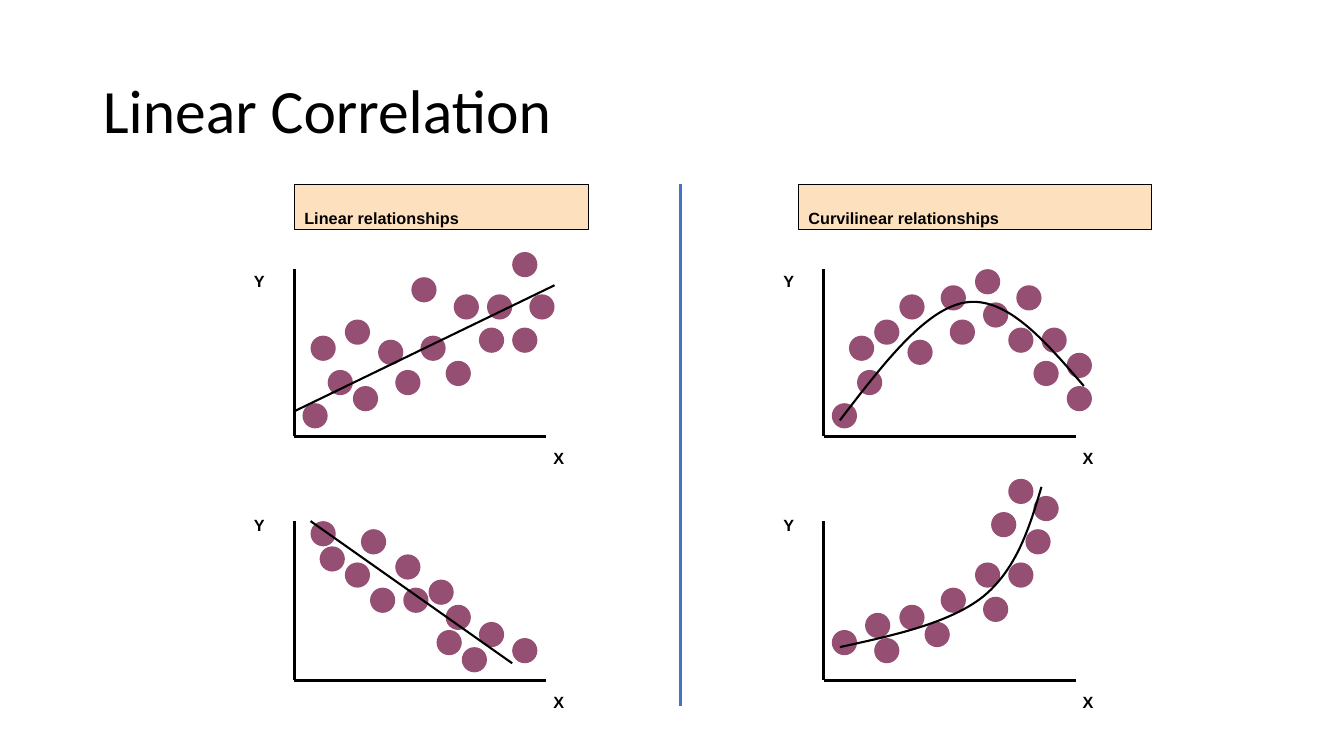
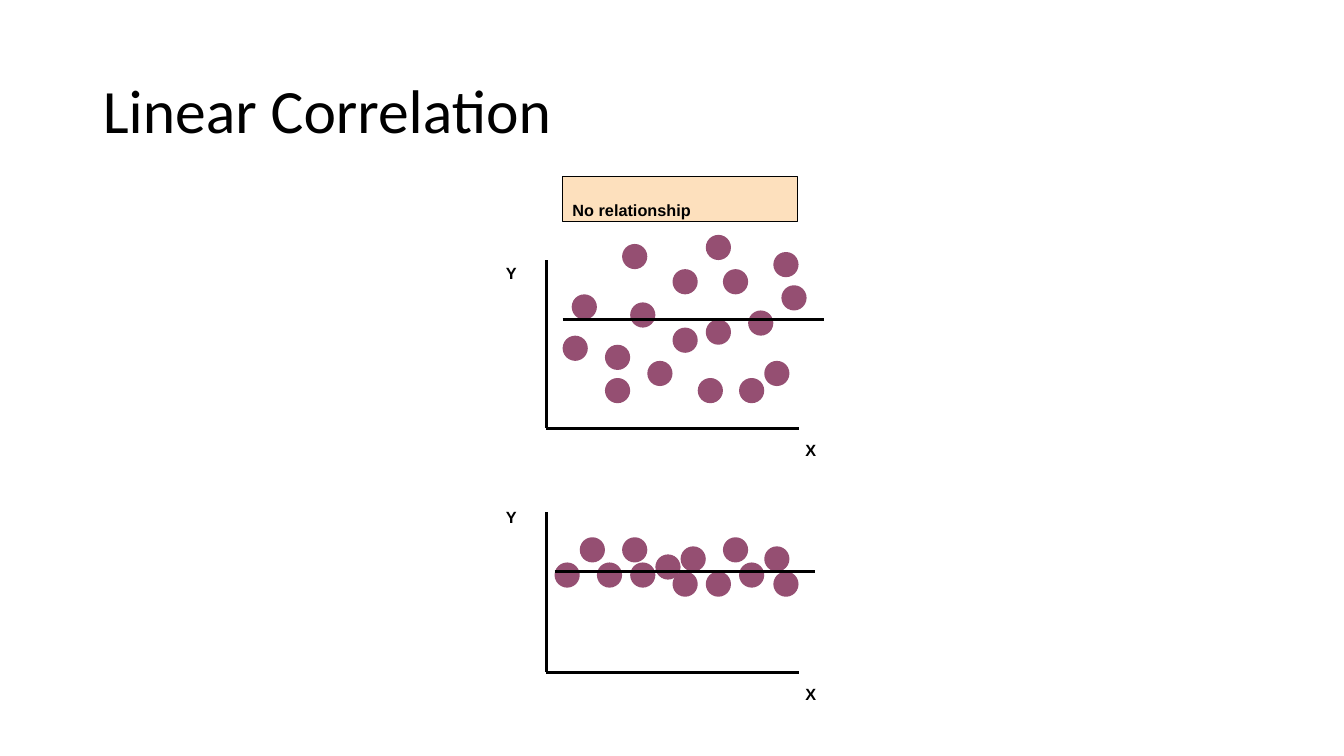
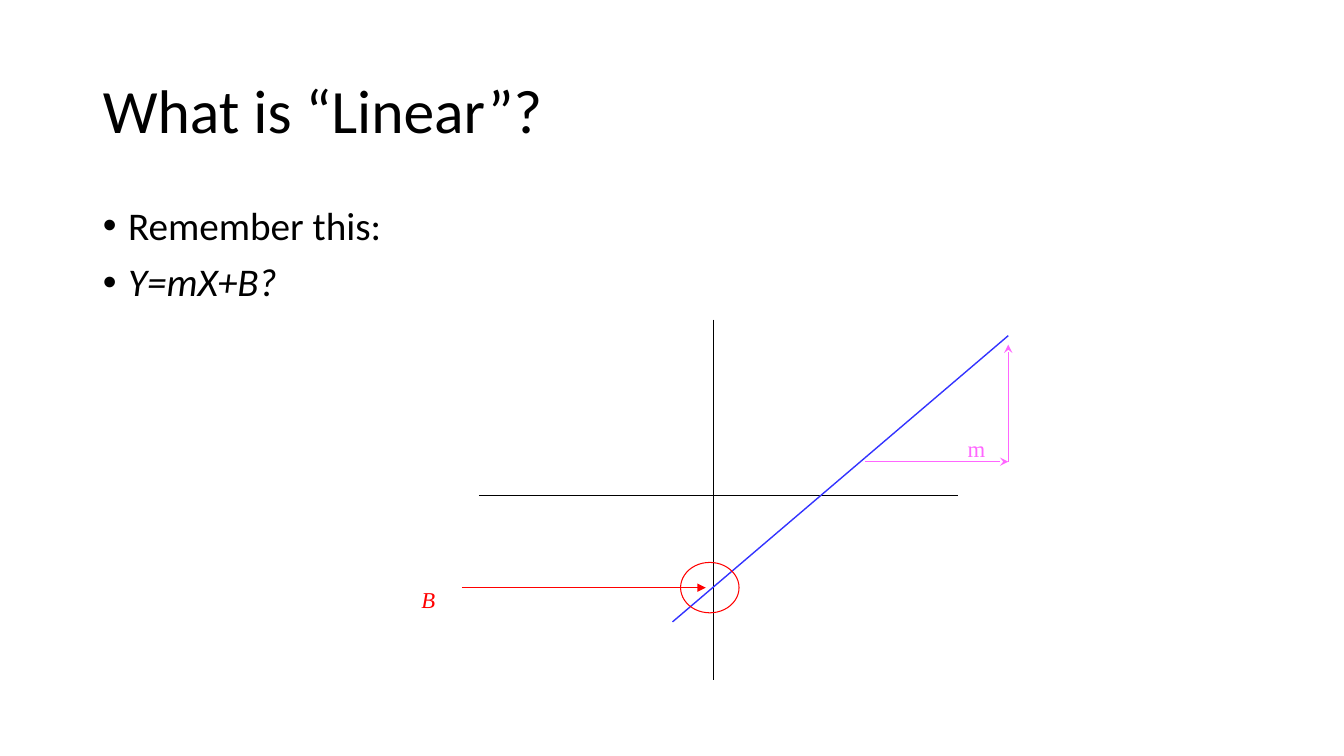
"""Build three slides on linear correlation: scatter sketches and the line equation."""
from lxml import etree
from pptx import Presentation
from pptx.dml.color import RGBColor
from pptx.enum.shapes import MSO_CONNECTOR, MSO_SHAPE
from pptx.enum.text import MSO_ANCHOR, PP_ALIGN
from pptx.oxml.ns import qn
from pptx.util import Inches, Pt

STRAIGHT = MSO_CONNECTOR.STRAIGHT
OVAL, RECTANGLE = MSO_SHAPE.OVAL, MSO_SHAPE.RECTANGLE
LEFT = PP_ALIGN.LEFT
TOP, MIDDLE = MSO_ANCHOR.TOP, MSO_ANCHOR.MIDDLE

BLACK, PLUM, PEACH, BLUE = "000000", "954F72", "FDE0BD", "4472C4"
INDIGO, RED, PINK = "3333FF", "FF0000", "FF66FF"
DOT = 0.25
AXIS_LENGTH = 2.5
CURVE_STEPS = 24


def tint(code):
    return RGBColor.from_string(code)


def write(box, text, size=20, font="Arial", color=BLACK, bold=False, italic=False,
          lowered=False, spacing=None, before=0, anchor=TOP, bullet=False, more=False):
    frame = box.text_frame
    frame.word_wrap = True
    frame.vertical_anchor = anchor
    para = frame.add_paragraph() if more else frame.paragraphs[0]
    para.alignment = LEFT
    para.space_before = Pt(before)
    if spacing:
        para.line_spacing = spacing
    if bullet:
        properties = para._p.get_or_add_pPr()
        properties.set("marL", str(Inches(0.25)))
        properties.set("indent", str(Inches(-0.25)))
        etree.SubElement(properties, qn("a:buChar")).set("char", "•")
    span = para.add_run()
    span.text = text
    span.font.name = font
    span.font.size = Pt(size)
    span.font.bold = bold
    span.font.italic = italic
    span.font.color.rgb = tint(color)
    if lowered:
        span._r.get_or_add_rPr().set("baseline", "-25000")


deck = Presentation()
deck.slide_width, deck.slide_height = Inches(13.33), Inches(7.5)

pages = []
for title, layout in [("Linear Correlation", 5), ("Linear Correlation", 5),
                      ("What is “Linear”?", 1)]:
    page = deck.slides.add_slide(deck.slide_layouts[layout])
    heading = page.shapes.title
    heading.left, heading.top = Inches(0.92), Inches(0.4)
    heading.width, heading.height = Inches(11.5), Inches(1.45)
    write(heading, title, size=44, font="Calibri", spacing=0.9, anchor=MIDDLE)
    pages.append(page)
relations, unrelated, equation = pages

body = equation.placeholders[1]
body.left, body.top = Inches(0.92), Inches(2)
body.width, body.height = Inches(11.5), Inches(4.76)
write(body, "Remember this:", size=28, font="Calibri", spacing=0.9, bullet=True)
write(body, "Y=mX+B?", size=28, font="Calibri", spacing=0.9, bullet=True,
      italic=True, before=10, more=True)

plots = [
    (relations, 2.92, 2.67, 4.33, [
        (3, 4), (3.25, 3.67), (5.08, 2.5), (5.25, 2.92), (3.5, 3.83), (4.83, 2.92),
        (4.42, 3.58), (4.5, 2.92), (4.08, 2.75), (3.08, 3.33), (3.42, 3.17),
        (3.75, 3.37), (4.75, 3.25), (4.17, 3.33), (3.92, 3.67), (5.08, 3.25)]),
    (relations, 2.92, 5.17, 6.75, [
        (4.58, 6.42), (3.17, 5.42), (5.08, 6.33), (3.58, 5.25), (4.42, 6),
        (4.75, 6.17), (3.92, 5.5), (3.08, 5.17), (3.42, 5.58), (3.67, 5.83),
        (4.33, 6.25), (4.25, 5.75), (4, 5.83)]),
    (relations, 8.17, 2.67, 4.33, [
        (8.25, 4), (8.5, 3.67), (10.58, 3.5), (10.08, 2.83), (8.92, 2.92),
        (10.58, 3.83), (10.25, 3.58), (9.75, 3), (9.33, 2.83), (8.42, 3.33),
        (8.67, 3.17), (9, 3.37), (10, 3.25), (9.42, 3.17), (9.67, 2.67),
        (10.33, 3.25)]),
    (relations, 8.17, 5.17, 6.75, [
        (8.25, 6.25), (8.58, 6.08), (10.25, 4.92), (10.17, 5.25), (8.67, 6.33),
        (9.83, 5.08), (9.75, 5.92), (9.67, 5.58), (10, 4.75), (8.92, 6),
        (10, 5.58), (9.33, 5.83), (9.17, 6.17)]),
    (unrelated, 5.42, 2.58, 4.25, [
        (7, 2.33), (5.58, 3.33), (7.58, 3.58), (7.75, 2.83), (6, 3.75), (6.17, 2.42),
        (7, 3.17), (7.17, 2.67), (7.67, 2.5), (6.67, 2.67), (6, 3.42), (6.25, 3),
        (7.33, 3.75), (6.67, 3.25), (6.42, 3.58), (5.67, 2.92), (6.92, 3.75),
        (7.42, 3.08)]),
    (unrelated, 5.42, 5.08, 6.67, [
        (7.67, 5.67), (5.92, 5.58), (7.58, 5.42), (6.17, 5.33), (7.17, 5.33),
        (7.33, 5.58), (6.5, 5.5), (5.5, 5.58), (5.75, 5.33), (6.25, 5.58),
        (7, 5.67), (6.75, 5.42), (6.67, 5.67)]),
]
lines = [
    (relations, (6.75, 1.83), (6.75, 7), BLUE, 2.25, None),
    (relations, (2.92, 4.08), (5.5, 2.83), BLACK, 1.5, None),
    (relations, (3.08, 5.17), (5.08, 6.58), BLACK, 1.5, None),
    (unrelated, (5.58, 3.17), (8.17, 3.17), BLACK, 1.5, None),
    (unrelated, (5.5, 5.67), (8.08, 5.67), BLACK, 1.5, None),
    (equation, (7.08, 3.17), (7.08, 6.75), BLACK, 0.75, None),
    (equation, (4.75, 4.92), (9.5, 4.92), BLACK, 0.75, None),
    (equation, (6.67, 6.17), (10, 3.33), INDIGO, 1, None),
    (equation, (4.58, 5.83), (7, 5.83), RED, 0.75, "triangle"),
    (equation, (8.58, 4.58), (10, 4.58), PINK, 0.75, "stealth"),
    (equation, (10, 4.58), (10, 3.42), PINK, 0.75, "stealth"),
]
axis_format = {"bold": True}
labels = [
    (equation, 4.08, 5.5, 0.75, 0.57, "B",
     {"size": 28, "font": "Times New Roman", "color": RED, "italic": True}),
    (equation, 9.5, 4, 1, 0.57, "m",
     {"size": 28, "font": "Times New Roman", "color": PINK}),
]

for page, left, top, bottom, dots in plots:
    for dot_left, dot_top in dots:
        dot = page.shapes.add_shape(OVAL, Inches(dot_left), Inches(dot_top),
                                    Inches(DOT), Inches(DOT))
        dot.shadow.inherit = False
        dot.fill.solid()
        dot.fill.fore_color.rgb = tint(PLUM)
        dot.line.fill.background()
    lines.append((page, (left, top), (left, bottom), BLACK, 2, None))
    lines.append((page, (left, bottom), (left + AXIS_LENGTH, bottom), BLACK, 2, None))
    labels.append((page, left - 0.5, bottom - 1.87, 0.39, 0.43, "Y", axis_format))
    labels.append((page, left + 2.47, bottom - 0.12, 0.39, 0.43, "X", axis_format))

for page, start, end, color, width, arrow in lines:
    line = page.shapes.add_connector(STRAIGHT, *map(Inches, start + end))
    line.line.color.rgb = tint(color)
    line.line.width = Pt(width)
    if arrow:
        etree.SubElement(line.line._get_or_add_ln(), qn("a:tailEnd")).set("type", arrow)
    etree.SubElement(line._element.spPr, qn("a:effectLst"))

curves = [
    [(8.33, 4.17), (8.76, 3.61), (9.18, 3.06), (9.58, 3),
     (9.99, 2.94), (10.37, 3.39), (10.75, 3.83)],
    [(8.33, 6.42), (8.88, 6.3), (9.42, 6.18), (9.75, 5.92),
     (10.08, 5.65), (10.21, 5.24), (10.33, 4.83)],
]
for controls in curves:
    points = []
    for first in (0, 3):
        for step in range(1, CURVE_STEPS + 1):
            t = step / CURVE_STEPS
            weights = ((1 - t) ** 3, 3 * t * (1 - t) ** 2, 3 * t ** 2 * (1 - t), t ** 3)
            points.append([Inches(sum(weight * control[axis] for weight, control
                                      in zip(weights, controls[first:first + 4])))
                           for axis in (0, 1)])
    builder = relations.shapes.build_freeform(*map(Inches, controls[0]))
    builder.add_line_segments(points, close=False)
    curve = builder.convert_to_shape()
    curve.shadow.inherit = False
    curve.fill.background()
    curve.line.color.rgb = tint(BLACK)
    curve.line.width = Pt(1.5)

for page, left, top, width, height, text, style in labels:
    label = page.shapes.add_textbox(*map(Inches, (left, top, width, height)))
    write(label, text, lowered=True, **style)

for page, left, top, width, text in [
        (relations, 2.92, 1.83, 2.92, "Linear relationships"),
        (relations, 7.92, 1.83, 3.5, "Curvilinear relationships"),
        (unrelated, 5.58, 1.75, 2.33, "No relationship")]:
    banner = page.shapes.add_shape(RECTANGLE, *map(Inches, (left, top, width, 0.45)))
    banner.shadow.inherit = False
    banner.fill.solid()
    banner.fill.fore_color.rgb = tint(PEACH)
    banner.line.color.rgb = tint(BLACK)
    banner.line.width = Pt(1)
    write(banner, text, bold=True, lowered=True)

ring = equation.shapes.add_shape(OVAL, Inches(6.75), Inches(5.58), Inches(0.58), Inches(0.5))
ring.shadow.inherit = False
ring.fill.background()
ring.line.color.rgb = tint(RED)
ring.line.width = Pt(0.75)

deck.save("out.pptx")
